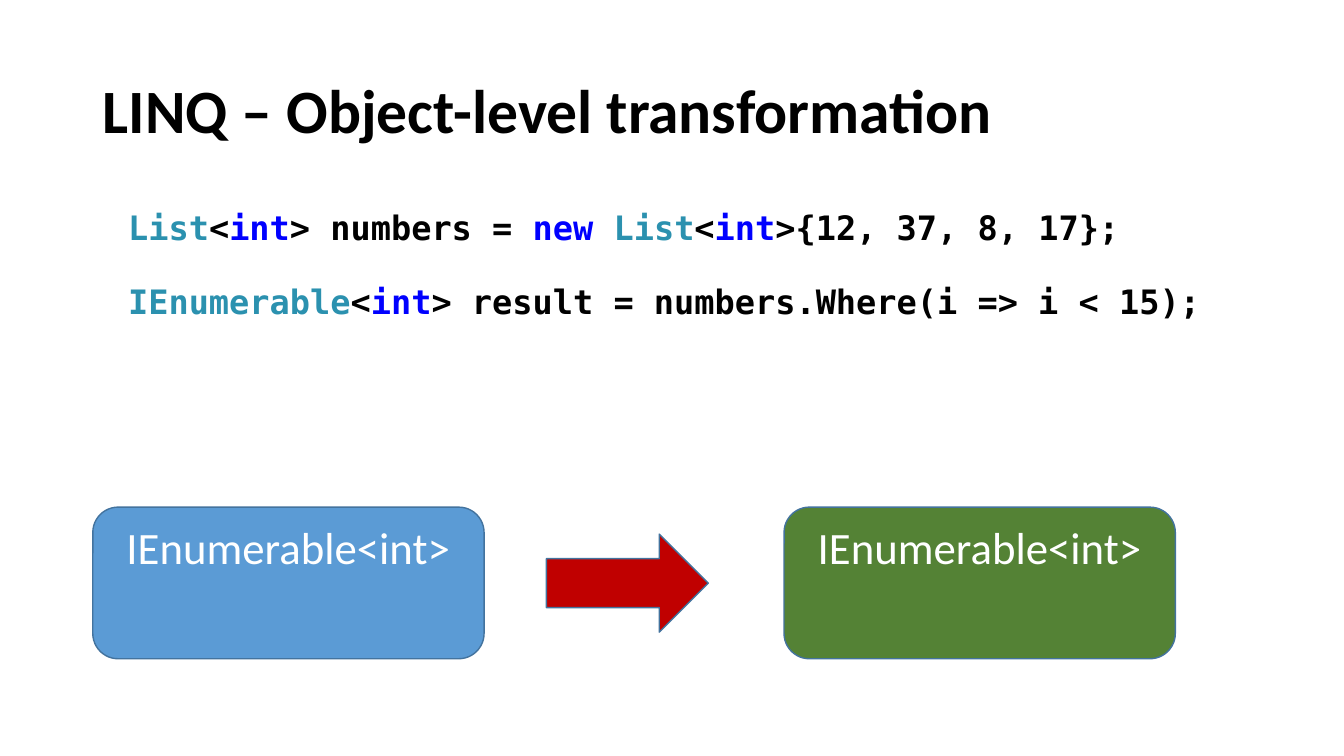
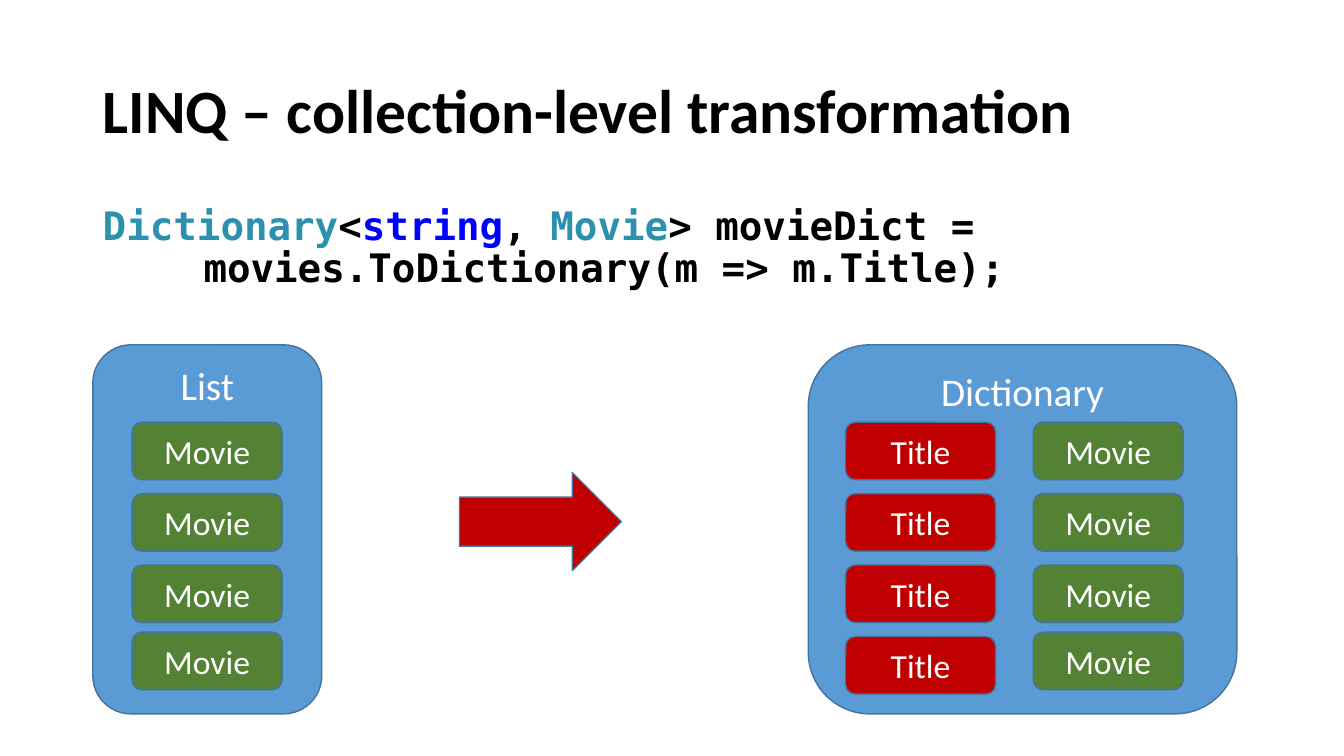
"""Build two slides on LINQ transformations."""
from dataclasses import dataclass
from typing import Any

from pptx import Presentation
from pptx.dml.color import RGBColor
from pptx.enum.shapes import MSO_SHAPE as Geometry
from pptx.enum.text import MSO_ANCHOR as Anchor, MSO_AUTO_SIZE as AutoSize, PP_ALIGN as Align
from pptx.presentation import Presentation as Deck
from pptx.slide import Slide
from pptx.text.text import _Paragraph as Paragraph
from pptx.util import Cm, Pt

SANS, MONO = "Calibri", "DejaVu Sans Mono"
BLACK, WHITE = "000000", "FFFFFF"
TYPE, KEYWORD = "2B91AF", "0000FF"
BLUE, GREEN, RED, OUTLINE = "5B9BD5", "548235", "C00000", "43739E"
LEFT, WIDTH = 2.34, 29.21
ITEM_WIDTH, ITEM_HEIGHT = 3.78, 1.45
TITLE_ROWS = tuple(10.64 + 1.8 * row for row in range(4))
MOVIE_ROWS = (*TITLE_ROWS[:3], 15.93)
FRAME_FORMAT = {"word_wrap": True, "auto_size": AutoSize.NONE}


@dataclass(frozen=True)
class Block:
    left: float
    top: float
    width: float
    height: float
    fill: str
    text: str = ""
    size: int = 24
    anchor: Anchor = Anchor.TOP
    geometry: Geometry = Geometry.ROUNDED_RECTANGLE


@dataclass(frozen=True)
class CodeLine:
    spans: tuple[tuple[str, str], ...]
    indent: float = 0
    space_before: float = 0


@dataclass(frozen=True)
class Code:
    top: float
    height: float
    size: int
    lines: tuple[CodeLine, ...]


@dataclass(frozen=True)
class PageContent:
    title: str
    code: Code
    blocks: tuple[Block, ...]


def rgb(value: str) -> RGBColor:
    return RGBColor.from_string(value)


def apply(target: Any, values: dict[str, Any]) -> None:
    for name, value in values.items():
        setattr(target, name, value)


def add_span(para: Paragraph, text: str, size: int, color: str,
             font: str = SANS, bold: bool = False) -> None:
    span = para.add_run()
    span.text = text
    apply(span.font, {"name": font, "size": Pt(size), "bold": bold})
    span.font.color.rgb = rgb(color)


def add_title(page: Slide, text: str) -> None:
    box = page.shapes.title
    apply(box, {"left": Cm(LEFT), "top": Cm(1.01), "width": Cm(WIDTH), "height": Cm(3.68)})
    apply(box.text_frame, {**FRAME_FORMAT, "vertical_anchor": Anchor.MIDDLE})
    para = box.text_frame.paragraphs[0]
    apply(para, {"alignment": Align.LEFT, "line_spacing": 0.9})
    add_span(para, text, 44, BLACK, bold=True)


def add_code(page: Slide, code: Code) -> None:
    box = page.shapes.add_textbox(Cm(LEFT), Cm(code.top), Cm(WIDTH), Cm(code.height))
    frame = box.text_frame
    apply(frame, FRAME_FORMAT)
    for index, line in enumerate(code.lines):
        para = frame.add_paragraph() if index else frame.paragraphs[0]
        apply(para, {"line_spacing": 0.9, "space_before": Pt(line.space_before)})
        para._p.get_or_add_pPr().set("marL", str(Cm(line.indent)))
        for text, color in line.spans:
            add_span(para, text, code.size, color, MONO, bold=True)


def add_block(page: Slide, block: Block) -> None:
    shape = page.shapes.add_shape(
        block.geometry, Cm(block.left), Cm(block.top), Cm(block.width), Cm(block.height))
    shape.shadow.inherit = False
    shape.fill.solid()
    shape.fill.fore_color.rgb = rgb(block.fill)
    shape.line.color.rgb = rgb(OUTLINE)
    shape.line.width = Pt(1)
    if block.text:
        apply(shape.text_frame, {**FRAME_FORMAT, "vertical_anchor": block.anchor})
        para = shape.text_frame.paragraphs[0]
        para.alignment = Align.CENTER
        add_span(para, block.text, block.size, WHITE)


def arrow(left: float, top: float) -> Block:
    return Block(left, top, 4.08, 2.47, RED, geometry=Geometry.RIGHT_ARROW)


def sequence(left: float, fill: str) -> Block:
    return Block(left, 12.78, 9.86, 3.82, fill, "IEnumerable<int>", 32)


def item_column(left: float, rows: tuple[float, ...], fill: str, text: str) -> tuple[Block, ...]:
    return tuple(Block(left, top, ITEM_WIDTH, ITEM_HEIGHT, fill, text, anchor=Anchor.MIDDLE)
                 for top in rows)


def add_page(deck: Deck, content: PageContent) -> None:
    page = deck.slides.add_slide(deck.slide_layouts.get_by_name("Title Only"))
    add_title(page, content.title)
    add_code(page, content.code)
    for block in content.blocks:
        add_block(page, block)


PAGES = (
    PageContent(
        "LINQ – Object-level transformation",
        Code(5.21, 5.69, 24, (
            CodeLine((("List", TYPE), ("<", BLACK), ("int", KEYWORD), ("> numbers = ", BLACK),
                      ("new ", KEYWORD), ("List", TYPE), ("<", BLACK), ("int", KEYWORD),
                      (">{12, 37, 8, 17};", BLACK)), indent=0.64),
            CodeLine((("IEnumerable", TYPE), ("<", BLACK), ("int", KEYWORD),
                      ("> result = numbers.Where(i => i < 15);", BLACK)),
                     indent=0.64, space_before=27),
        )),
        (sequence(LEFT, BLUE), sequence(19.76, GREEN), arrow(13.77, 13.46)),
    ),
    PageContent(
        "LINQ – collection-level transformation",
        Code(5.08, 2.79, 28, (
            CodeLine((("Dictionary", TYPE), ("<", BLACK), ("string", KEYWORD), (", ", BLACK),
                      ("Movie", TYPE), ("> movieDict =", BLACK))),
            CodeLine((("movies.ToDictionary(m => m.Title);", BLACK),), indent=2.54),
        )),
        (
            Block(LEFT, 8.69, 5.77, 9.3, BLUE, "List", 28),
            *item_column(3.33, MOVIE_ROWS, GREEN, "Movie"),
            Block(20.37, 8.69, 10.8, 9.3, BLUE, "Dictionary", 28),
            *item_column(26.04, MOVIE_ROWS, GREEN, "Movie"),
            *item_column(21.31, TITLE_ROWS, RED, "Title"),
            arrow(11.58, 11.91),
        ),
    ),
)


def main() -> None:
    deck = Presentation()
    apply(deck, {"slide_width": Cm(33.87), "slide_height": Cm(19.05)})
    for content in PAGES:
        add_page(deck, content)
    deck.save("out.pptx")


if __name__ == "__main__":
    main()
